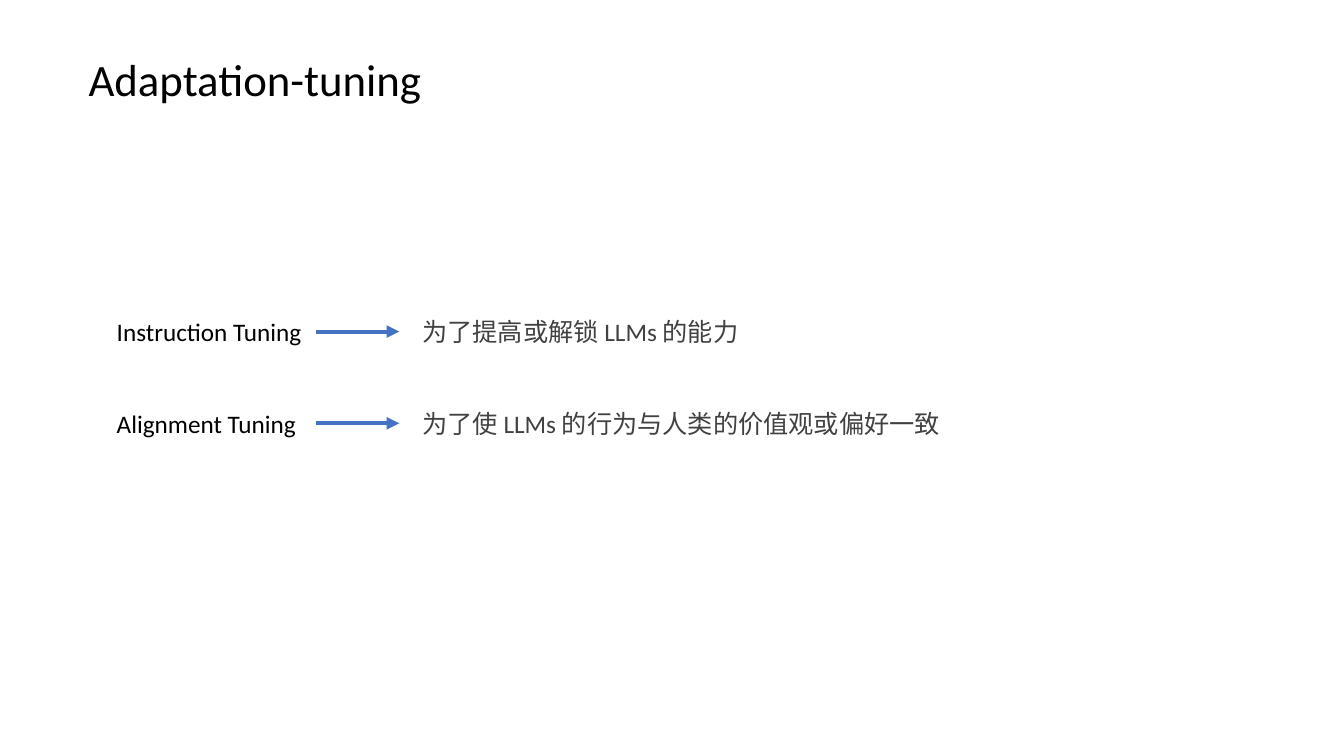
"""Build the Adaptation-tuning slide."""
import pptx
import pptx.dml.color
import pptx.enum.shapes
import pptx.oxml
import pptx.oxml.ns
import pptx.util
from pptx.util import Inches

TITLE = "Adaptation-tuning"
TUNINGS = [
    ("Instruction Tuning", "为了提高或解锁 LLMs 的能力"),
    ("Alignment Tuning", "为了使 LLMs 的行为与人类的价值观或偏好一致"),
]
COLORS = {"black": "000000", "gray": "414141", "arrow": "4472C4"}
TITLE_FONT = {"name": "Calibri", "size": pptx.util.Pt(32)}
BODY_FONT = {"name": "Calibri", "size": pptx.util.Pt(18)}
ROW_TOP, ROW_STEP, ROW_H = 3.09, 0.91, 0.4
LABEL_X, PURPOSE_X, BODY_W = 1.06, 4.09, 6.67
ARROW_X, ARROW_W = 3.13, 0.83
PURPOSE_GAP = pptx.util.Pt(44)


def rgb(name):
    return pptx.dml.color.RGBColor.from_string(COLORS[name])


def add_text(s, box, lines, font, color, gap=0):
    tf = s.shapes.add_textbox(*map(Inches, box)).text_frame
    tf.word_wrap = True
    for i, line in enumerate(lines):
        p = tf.add_paragraph() if i else tf.paragraphs[0]
        if i:
            p.space_before = gap
        r = p.add_run()
        r.text = line
        for key, value in font.items():
            setattr(r.font, key, value)
        r.font.color.rgb = rgb(color)


def add_arrow(s, x, y, w):
    c = s.shapes.add_connector(
        pptx.enum.shapes.MSO_CONNECTOR.STRAIGHT,
        Inches(x), Inches(y), Inches(x + w), Inches(y))
    c.line.color.rgb = rgb("arrow")
    c.line.width = pptx.util.Pt(3)
    ns = pptx.oxml.ns.nsdecls("a")
    c.line._get_or_add_ln().append(
        pptx.oxml.parse_xml(f'<a:tailEnd {ns} type="triangle"/>'))
    c._element.spPr.append(pptx.oxml.parse_xml(f"<a:effectLst {ns}/>"))


def main():
    prs = pptx.Presentation()
    prs.slide_width, prs.slide_height = Inches(13.33), Inches(7.5)
    s = prs.slides.add_slide(prs.slide_layouts[6])
    add_text(s, (0.78, 0.46, 8.16, 0.64), [TITLE], TITLE_FONT, "black")
    purposes = [purpose for _, purpose in TUNINGS]
    add_text(s, (PURPOSE_X, ROW_TOP, BODY_W, ROW_STEP + ROW_H),
             purposes, BODY_FONT, "gray", PURPOSE_GAP)
    for i, (label, _) in enumerate(TUNINGS):
        y = ROW_TOP + i * ROW_STEP
        add_text(s, (LABEL_X, y, BODY_W, ROW_H), [label], BODY_FONT, "black")
        add_arrow(s, ARROW_X, y + ROW_H / 2, ARROW_W)
    prs.save("out.pptx")


if __name__ == "__main__":
    main()
